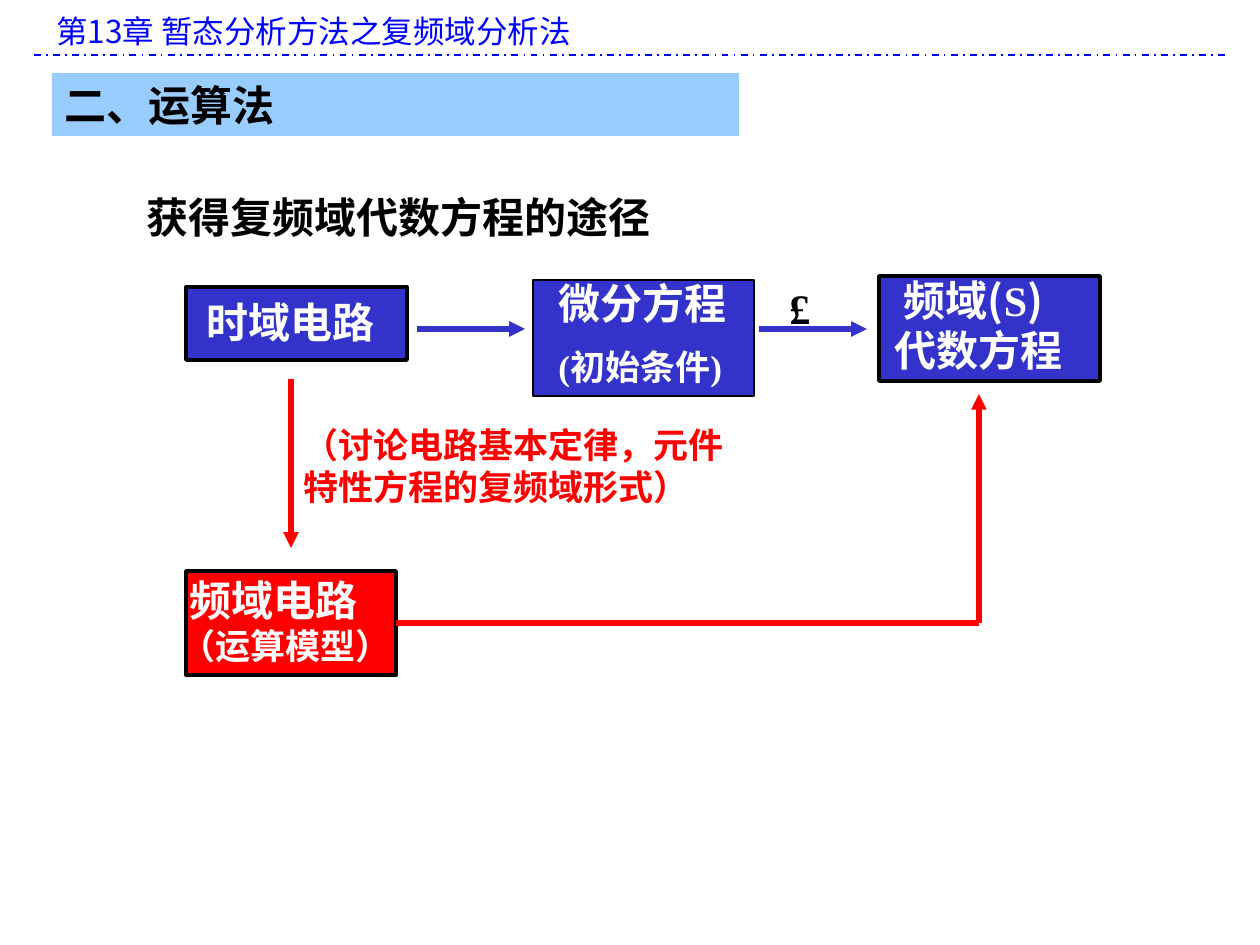
from lxml import etree
from pptx import Presentation
from pptx.dml.color import RGBColor
from pptx.enum.dml import MSO_LINE
from pptx.enum.shapes import MSO_CONNECTOR, MSO_SHAPE
from pptx.enum.text import MSO_ANCHOR, PP_ALIGN
from pptx.oxml.ns import qn
from pptx.util import Emu, Pt

STRAIGHT = MSO_CONNECTOR.STRAIGHT
RECTANGLE = MSO_SHAPE.RECTANGLE
DASH_DOT = MSO_LINE.DASH_DOT
TOP = MSO_ANCHOR.TOP
LEFT = PP_ALIGN.LEFT

PX_PER_INCH = 126
RIGHT_SIDE = 3
SANS = "Noto Sans CJK SC"
SERIF = "Times New Roman"
BLUE, NAVY, SKY = "0000FF", "3333CC", "99CCFF"
RED, BLACK, WHITE = "FF0000", "000000", "FFFFFF"


def px(length):
    return Emu(round(length * 914400 / PX_PER_INCH))


def color(value):
    return RGBColor.from_string(value)


def write_span(para, text, size=24, font=SERIF, fill=BLACK, bold=True):
    span = para.add_run()
    span.text = text
    span.font.size = Pt(size)
    span.font.name = font
    span.font.bold = bold
    span.font.color.rgb = color(fill)
    east_asian = etree.SubElement(span._r.get_or_add_rPr(), qn("a:ea"))
    east_asian.set("typeface", SANS)


class SlideBuilder:
    def __init__(self, page):
        self.page = page

    def fill_text(self, frame, lines, space_before=0, wrap=True, **style):
        frame.word_wrap = wrap
        frame.vertical_anchor = TOP
        frame.margin_left = frame.margin_right = Pt(7.2)
        frame.margin_top = frame.margin_bottom = Pt(3.6)
        for index, spans in enumerate(lines):
            para = frame.add_paragraph() if index else frame.paragraphs[0]
            para.alignment = LEFT
            para.space_before = Pt(space_before if index else 0)
            for text, changes in spans:
                write_span(para, text, **{**style, **changes})

    def title(self, text, left, top, width, height):
        box = self.page.shapes.title
        box.left, box.top = px(left), px(top)
        box.width, box.height = px(width), px(height)
        box.fill.solid()
        box.fill.fore_color.rgb = color(SKY)
        self.fill_text(box.text_frame, [[(text, {})]])

    def text(self, lines, left, top, width, height, **style):
        box = self.page.shapes.add_textbox(px(left), px(top), px(width), px(height))
        self.fill_text(box.text_frame, lines, **style)

    def block(self, left, top, width, height, fill=NAVY, border=2.25):
        box = self.page.shapes.add_shape(
            RECTANGLE, px(left), px(top), px(width), px(height))
        box.shadow.inherit = False
        box.fill.solid()
        box.fill.fore_color.rgb = color(fill)
        box.line.color.rgb = color(BLACK)
        box.line.width = Pt(border)
        return box

    def line(self, start, end, stroke, width=3, dash=None, arrow=False):
        connector = self.page.shapes.add_connector(
            STRAIGHT, px(start[0]), px(start[1]), px(end[0]), px(end[1]))
        connector.line.color.rgb = color(stroke)
        connector.line.width = Pt(width)
        if dash:
            connector.line.dash_style = dash
        if arrow:
            tail = etree.SubElement(connector.line._get_or_add_ln(), qn("a:tailEnd"))
            tail.set("type", "triangle")
        etree.SubElement(connector._element.spPr, qn("a:effectLst"))
        return connector


def main():
    deck = Presentation()
    deck.slide_width, deck.slide_height = px(1260), px(945)
    page = deck.slides.add_slide(deck.slide_layouts[5])
    slide = SlideBuilder(page)

    slide.text([[("第13章 暂态分析方法之复频域分析法", {})]], 44, 6, 1181, 50,
               size=18, font=SANS, fill=BLUE, bold=False)
    slide.line((34, 55), (1225, 55), BLUE, width=1, dash=DASH_DOT)
    slide.title("二、运算法", 52, 73, 687, 63)
    slide.text([[("获得复频域代数方程的途径", {})]], 134, 185, 611, 63)

    slide.block(186, 287, 221, 73)
    slide.text([[("时域电路", {})]], 194, 290, 338, 63, fill=WHITE)

    slide.block(533, 280, 221, 116, border=1.5)
    slide.text([[("微分方程", {})], [("(初始条件)", {"size": 20})]],
               546, 271, 261, 126, fill=WHITE, space_before=10)

    slide.block(879, 276, 221, 105)
    slide.text([[(" 频域(", {}), ("S", {"font": SERIF}), (")", {})],
                [("代数方程", {})]],
               882, 268, 252, 113, font=SANS, fill=WHITE)

    for left in (417, 759):
        slide.line((left, 329), (left + 108, 329), NAVY, arrow=True)
    slide.text([[("£", {})]], 777, 276, 47, 63, wrap=False)

    slide.line((291, 379), (291, 548), RED, arrow=True)
    slide.text([[("（讨论电路基本定律，元件", {})], [("特性方程的复频域形式）", {})]],
               291, 417, 507, 97, size=20, fill=RED)

    model = slide.block(186, 571, 210, 104, fill=RED)
    slide.text([[(" 频域电路", {})], [("（运算模型）", {"size": 20})]],
               168, 568, 265, 105, font=SANS, fill=WHITE)
    corner = (979, 623)
    base = slide.line((396, 623), corner, RED)
    base.begin_connect(model, RIGHT_SIDE)
    slide.line(corner, (979, 394), RED, arrow=True)

    deck.save("out.pptx")


if __name__ == "__main__":
    main()
